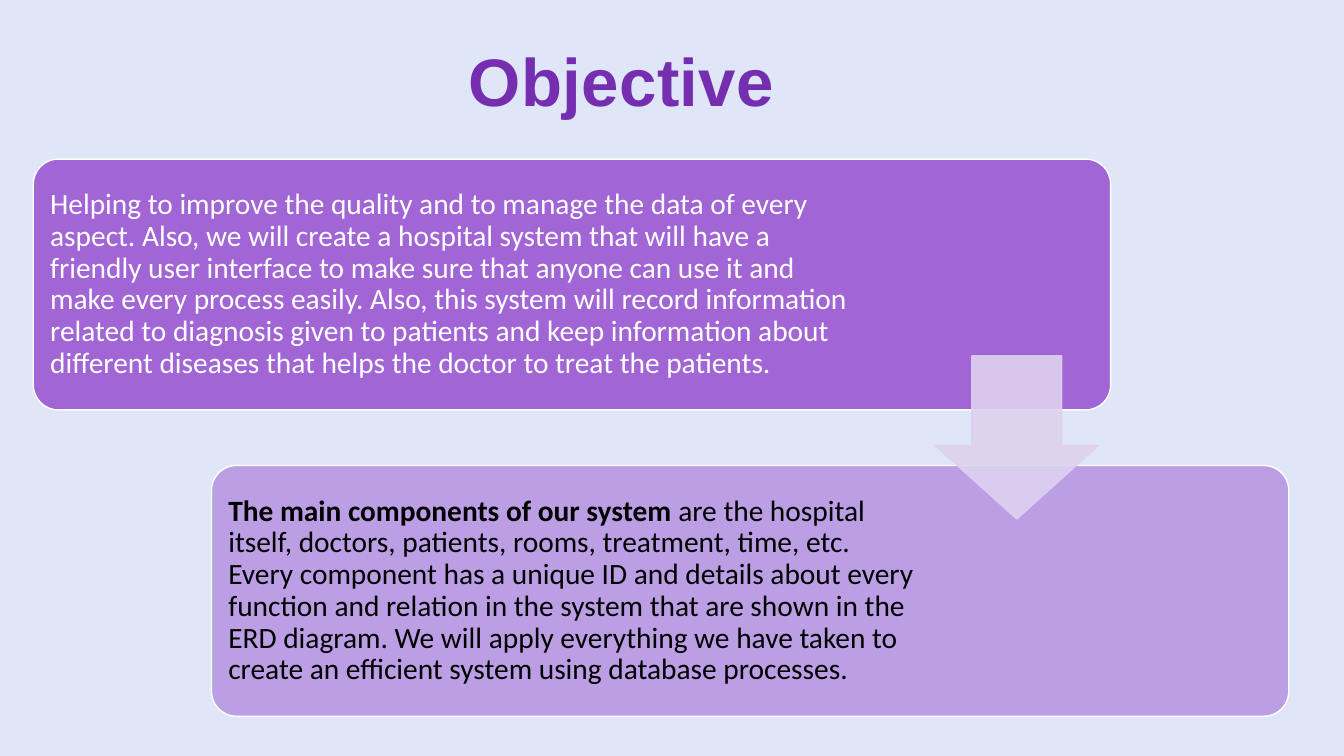
from dataclasses import dataclass

import pptx
import pptx.dml.color
import pptx.dml.fill
import pptx.enum.shapes
import pptx.enum.text
import pptx.oxml
import pptx.oxml.ns
import pptx.shapes.autoshape
import pptx.slide
import pptx.text.text
import pptx.util

Cm = pptx.util.Cm
Pt = pptx.util.Pt
Shape = pptx.shapes.autoshape.Shape
Slide = pptx.slide.Slide
KIND = pptx.enum.shapes.MSO_SHAPE
ALIGN = pptx.enum.text.PP_ALIGN
ANCHOR = pptx.enum.text.MSO_ANCHOR

COLORS = {
    "back": "DEE6F8",
    "title": "762EB1",
    "note": "7E6583",
    "card": "9B57D3",
    "arrow": "DED1EF",
    "white": "FFFFFF",
    "black": "000000",
}


@dataclass
class Box:
    left: float
    top: float
    width: float
    height: float

    def place(self) -> tuple[int, int, int, int]:
        return Cm(self.left), Cm(self.top), Cm(self.width), Cm(self.height)


@dataclass
class Card:
    box: Box
    alpha: int
    ink: str
    right: float
    lead: str
    body: str


@dataclass
class Label:
    box: Box
    text: str
    font: str
    size: int
    color: str
    bold: bool
    align: pptx.enum.text.PP_ALIGN
    left: float


CARDS = [
    Card(
        Box(0.84, 4.01, 27.15, 6.32), 90, "white", 6.37, "",
        "Helping to improve the quality and to manage the data of every aspect. "
        "Also, we will create a hospital system that will have a friendly user "
        "interface to make sure that anyone can use it and make every process "
        "easily. Also, this system will record information related to diagnosis "
        "given to patients and keep information about different diseases that "
        "helps the doctor to treat the patients.",
    ),
    Card(
        Box(5.33, 11.73, 27.15, 6.32), 50, "black", 9.13,
        "The main components of our system ",
        "are the hospital itself, doctors, patients, rooms, treatment, time, etc. "
        "Every component has a unique ID and details about every function and "
        "relation in the system that are shown in the ERD diagram. We will apply "
        "everything we have taken to create an efficient system using database "
        "processes.",
    ),
]
LABELS = [
    Label(Box(4.24, 16.59, 25.4, 1.45), "-", "Calibri", 14, "note", False,
          ALIGN.CENTER, 0.25),
    Label(Box(9.14, 0.86, 16.94, 2.31), "Objective", "Arial", 48, "title", True,
          ALIGN.LEFT, 2.67),
]
ARROW = Box(23.57, 8.97, 4.11, 4.11)


def paint(fill: pptx.dml.fill.FillFormat, name: str, alpha: int = 100) -> None:
    """Fill with a named colour at the given opacity in percent."""
    fill.solid()
    fill.fore_color.rgb = pptx.dml.color.RGBColor.from_string(COLORS[name])
    if alpha < 100:
        tone = fill._xPr.find(".//" + pptx.oxml.ns.qn("a:srgbClr"))
        tone.append(pptx.oxml.parse_xml(
            f'<a:alpha {pptx.oxml.ns.nsdecls("a")} val="{alpha * 1000}"/>'))


def set_font(font: pptx.text.text.Font, name: str, size: int, color: str) -> None:
    font.name = name
    font.size = Pt(size)
    paint(font.fill, color)


def add_label(slide: Slide, label: Label) -> None:
    frame = slide.shapes.add_textbox(*label.box.place()).text_frame
    frame.word_wrap = True
    frame.margin_left = Cm(label.left)
    para = frame.paragraphs[0]
    para.alignment = label.align
    set_font(para.font, label.font, label.size, label.color)
    para.font.bold = label.bold
    run = para.add_run()
    run.text = label.text
    run._r.get_or_add_rPr().set("spc", "30")


def add_shape(slide: Slide, kind: KIND, box: Box, fill: str, alpha: int) -> Shape:
    shape = slide.shapes.add_shape(kind, *box.place())
    shape.shadow.inherit = False
    paint(shape.fill, fill, alpha)
    shape.line.width = Pt(1)
    return shape


def add_card(slide: Slide, card: Card) -> None:
    shape = add_shape(slide, KIND.ROUNDED_RECTANGLE, card.box, "card", card.alpha)
    shape.adjustments[0] = 0.1
    paint(shape.line.fill, "white")
    frame = shape.text_frame
    frame.word_wrap = True
    frame.vertical_anchor = ANCHOR.MIDDLE
    frame.margin_left = frame.margin_top = frame.margin_bottom = Cm(0.24)
    frame.margin_right = Cm(card.right)
    para = frame.paragraphs[0]
    para.alignment = ALIGN.LEFT
    para.line_spacing = 0.9
    set_font(para.font, "Calibri", 21, card.ink)
    if card.lead:
        lead = para.add_run()
        lead.text = card.lead
        lead.font.bold = True
    para.add_run().text = card.body


def add_arrow(slide: Slide) -> None:
    arrow = add_shape(slide, KIND.DOWN_ARROW, ARROW, "arrow", 90)
    arrow.adjustments[0] = 0.55
    arrow.adjustments[1] = 0.45
    paint(arrow.line.fill, "arrow", 90)


def main() -> None:
    deck = pptx.Presentation()
    deck.slide_width = Cm(33.87)
    deck.slide_height = Cm(19.05)
    slide = deck.slides.add_slide(deck.slide_layouts[6])
    paint(slide.background.fill, "back")
    for label in LABELS:
        add_label(slide, label)
    for card in CARDS:
        add_card(slide, card)
    add_arrow(slide)
    deck.save("out.pptx")


if __name__ == "__main__":
    main()
